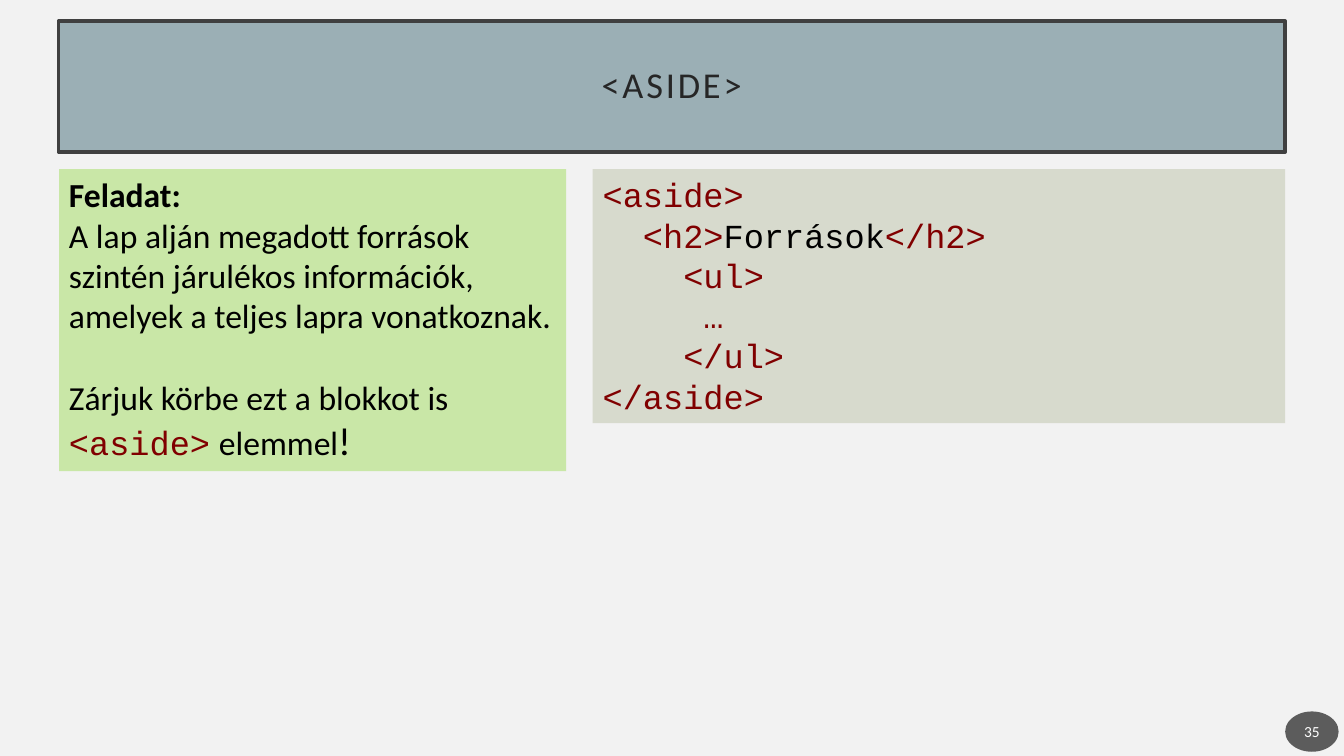
import dataclasses
import typing

import lxml.etree
import pptx
import pptx.dml.color
import pptx.enum.shapes
import pptx.enum.text
import pptx.oxml.ns
import pptx.util

Pt = pptx.util.Pt
Shape = pptx.enum.shapes.MSO_SHAPE
Align = pptx.enum.text.PP_ALIGN
Anchor = pptx.enum.text.MSO_ANCHOR
Fit = pptx.enum.text.MSO_AUTO_SIZE

HUES: dict[str, str] = {
    "page": "F2F2F2", "banner": "9BAFB5", "border": "404040", "title": "262626",
    "badge": "1D1D1D", "white": "FFFFFF", "task": "C9E7A7", "code": "D7DACD",
    "black": "000000", "tag": "800000",
}


@dataclasses.dataclass
class Run:
    text: str
    hue: str = "black"
    size: float = 24
    font: str = "Calibri"
    bold: bool = False
    track: int = 0


@dataclasses.dataclass
class Line:
    runs: list[Run]
    before: float = 0
    pitch: float = 1.0


@dataclasses.dataclass
class Panel:
    left: float
    top: float
    width: float
    height: float
    fill: str
    lines: list[Line]
    kind: Shape = Shape.RECTANGLE
    border: typing.Optional[str] = None
    alpha: int = 100
    pad: tuple[float, float] = (7.2, 3.6)
    center: bool = False


def shade(hue: str) -> pptx.dml.color.RGBColor:
    return pptx.dml.color.RGBColor.from_string(HUES[hue])


def tag(text: str) -> Run:
    return Run(text, "tag", font="Courier New")


def code(text: str) -> Run:
    return Run(text, font="Courier New")


def add_run(para: typing.Any, item: Run) -> None:
    run = para.add_run()
    run.text = item.text
    run.font.name = item.font
    run.font.size = Pt(item.size)
    run.font.bold = item.bold
    run.font.color.rgb = shade(item.hue)
    if item.track:
        run._r.get_or_add_rPr().set("spc", str(item.track * 100))


def add_panel(slide: typing.Any, panel: Panel) -> None:
    shape = slide.shapes.add_shape(
        panel.kind, Pt(panel.left), Pt(panel.top), Pt(panel.width), Pt(panel.height))
    shape.shadow.inherit = False
    shape.fill.solid()
    shape.fill.fore_color.rgb = shade(panel.fill)
    if panel.alpha < 100:
        paint = shape._element.spPr.find(".//" + pptx.oxml.ns.qn("a:srgbClr"))
        lxml.etree.SubElement(
            paint, pptx.oxml.ns.qn("a:alpha"), val=str(panel.alpha * 1000))
    if panel.border:
        shape.line.color.rgb = shade(panel.border)
        shape.line.width = Pt(2.5)
    else:
        shape.line.fill.background()
    frame = shape.text_frame
    frame.word_wrap = True
    frame.margin_left = frame.margin_right = Pt(panel.pad[0])
    frame.margin_top = frame.margin_bottom = Pt(panel.pad[1])
    frame.vertical_anchor = Anchor.MIDDLE if panel.center else Anchor.TOP
    frame.auto_size = Fit.NONE if panel.center else Fit.SHAPE_TO_FIT_TEXT
    for index, line in enumerate(panel.lines):
        para = frame.add_paragraph() if index else frame.paragraphs[0]
        para.alignment = Align.CENTER if panel.center else Align.LEFT
        para.line_spacing = line.pitch
        if line.before:
            para.space_before = Pt(line.before)
        for item in line.runs:
            add_run(para, item)


PANELS: list[Panel] = [
    Panel(41.76, 15.12, 876.24, 93.6, "banner",
          [Line([Run("<ASIDE>", "title", 26, track=2)], pitch=0.9)],
          border="border", pad=(14.4, 14.4), center=True),
    Panel(918, 508.2, 38.2, 28.8, "badge", [Line([Run("35", "white", 11)])],
          kind=Shape.OVAL, alpha=70, pad=(1.44, 3.6), center=True),
    Panel(42.2, 120.8, 362.2, 215.8, "task", [
        Line([Run("Feladat:", bold=True)]),
        Line([Run("A lap alján megadott források szintén járulékos információk, "
                  "amelyek a teljes lapra vonatkoznak.")]),
        Line([Run("Zárjuk körbe ezt a blokkot is "), tag("<aside>"),
              Run(" ", size=28), Run("elemmel"), Run("!", size=28)], before=29.3),
    ]),
    Panel(423.4, 120.8, 494.6, 181.5, "code", [
        Line([tag("<aside>")]),
        Line([tag("  <h2>"), code("Források"), tag("</h2>")]),
        Line([tag("    <ul>")]),
        Line([tag("     …")]),
        Line([tag("    </ul>")]),
        Line([tag("</aside>")]),
    ]),
]


def main() -> None:
    deck = pptx.Presentation()
    deck.slide_width = Pt(960)
    deck.slide_height = Pt(540)
    slide = deck.slides.add_slide(deck.slide_layouts[6])
    slide.background.fill.solid()
    slide.background.fill.fore_color.rgb = shade("page")
    for panel in PANELS:
        add_panel(slide, panel)
    deck.save("out.pptx")


if __name__ == "__main__":
    main()
